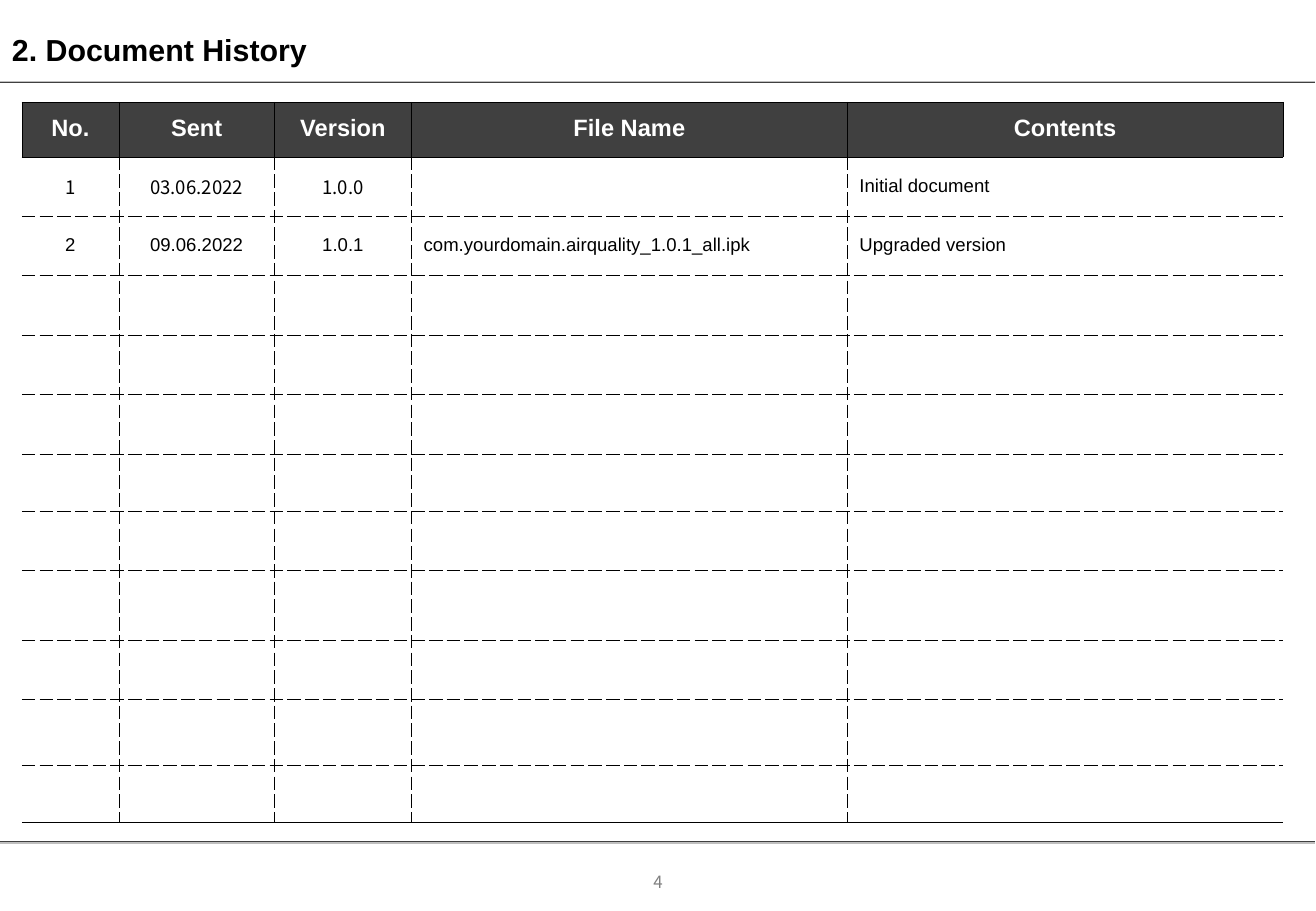
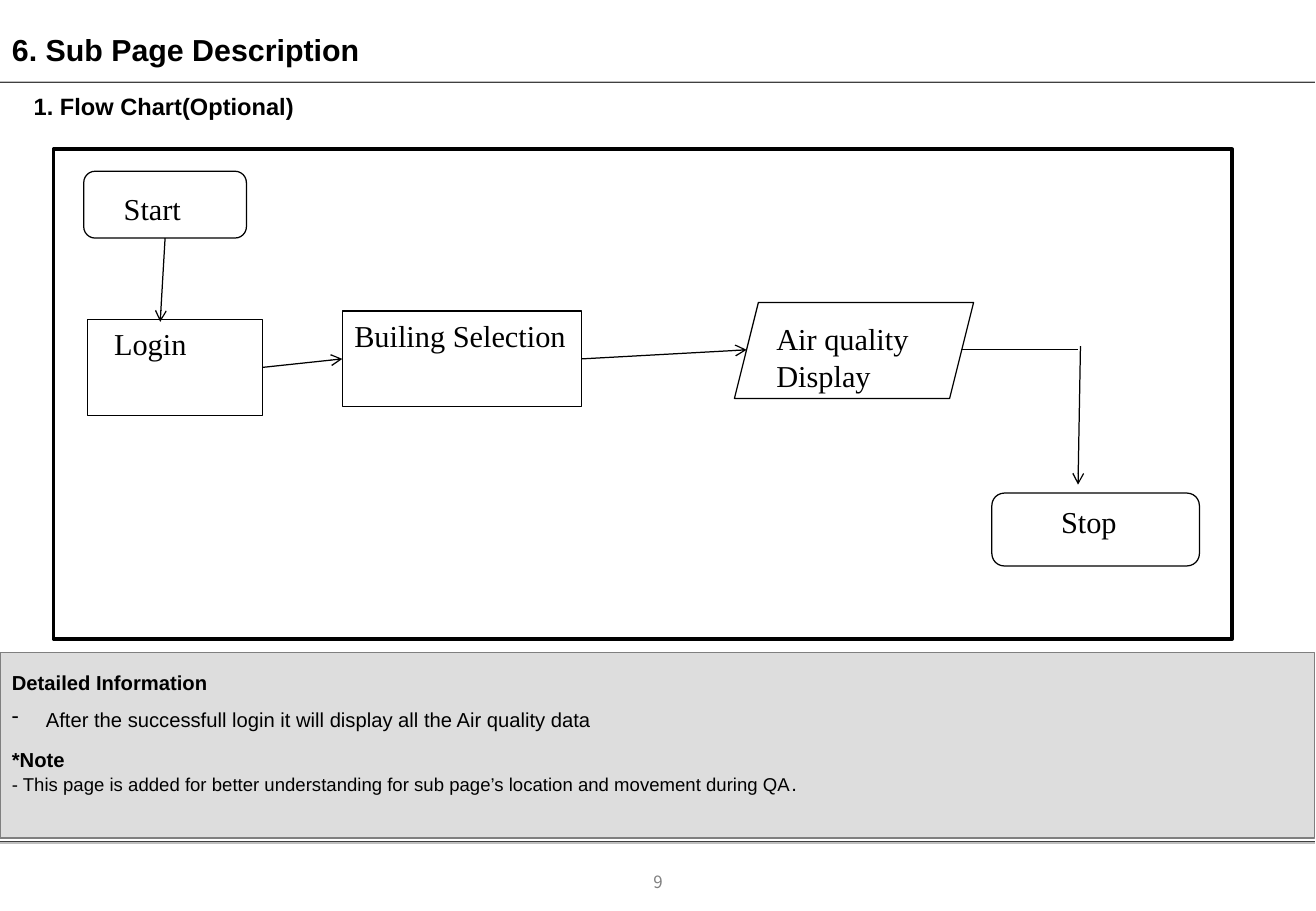
from lxml import etree
from pptx import Presentation
from pptx import util as u
from pptx.dml.color import RGBColor
from pptx.enum import shapes, text
from pptx.oxml import ns

PX = 9144
BLACK = RGBColor(0x00, 0x00, 0x00)
WHITE = RGBColor(0xFF, 0xFF, 0xFF)
DARK = RGBColor(0x40, 0x40, 0x40)
GREY = RGBColor(0x7F, 0x7F, 0x7F)
SILVER = RGBColor(0xBF, 0xBF, 0xBF)
PANEL = RGBColor(0xDD, 0xDD, 0xDD)
SANS, SERIF, CJK = "Arial", "Times New Roman", "Noto Sans CJK KR"
LEFT, CENTER = text.PP_ALIGN.LEFT, text.PP_ALIGN.CENTER
TOP, MIDDLE = text.MSO_ANCHOR.TOP, text.MSO_ANCHOR.MIDDLE
KIND = shapes.MSO_SHAPE
HAIR, DASHED, BASE = (0.06, "solid"), (0.45, "dash"), (0.23, "solid")


def px(n):
    return u.Emu(n * PX)


def child(parent, tag, **attrs):
    return etree.SubElement(parent, ns.qn(tag), **attrs)


def write(tf, words, size=12, font=SANS, color=BLACK, bold=False, align=LEFT,
          spacing=None, bullet=None, hang=28, join=False):
    p = tf.paragraphs[-1]
    if p.runs and not join:
        p = tf.add_paragraph()
    p.alignment = align
    if spacing:
        p.line_spacing = spacing
    if bullet:
        pPr = p._p.get_or_add_pPr()
        pPr.set("marL", str(px(hang)))
        pPr.set("indent", str(px(-hang)))
        child(pPr, "a:buChar", char=bullet)
    r = p.add_run()
    r.text = words
    r.font.size = u.Pt(size)
    r.font.name = font
    r.font.bold = bold
    r.font.color.rgb = color


def set_borders(cell, edges):
    tcPr = cell._tc.get_or_add_tcPr()
    for side, edge in zip("LRTB", edges):
        if edge is None:
            child(child(tcPr, f"a:ln{side}", w="0"), "a:noFill")
            continue
        width, dash = edge
        ln = child(tcPr, f"a:ln{side}", w=str(int(u.Pt(width))))
        child(child(ln, "a:solidFill"), "a:srgbClr", val=str(BLACK))
        child(ln, "a:prstDash", val=dash)


class Deck:
    def __init__(self, width, height):
        self.prs = Presentation()
        self.prs.slide_width, self.prs.slide_height = px(width), px(height)
        self.s = None

    def page(self, title, number):
        self.s = self.prs.slides.add_slide(self.prs.slide_layouts[6])
        for color, levels in ((DARK, (68, 693)), (SILVER, (67, 694))):
            for y in levels:
                self.line(0, y, 1083, y, color=color)
        write(self.box(487, 714, 110, 22, anchor=MIDDLE), number, size=10,
              font=CJK, color=GREY, align=CENTER, spacing=1.1)
        write(self.box(0, 21, 849, 40), title, size=18, bold=True)

    def box(self, x, y, w, h, anchor=TOP):
        tf = self.s.shapes.add_textbox(px(x), px(y), px(w), px(h)).text_frame
        tf.word_wrap = True
        tf.vertical_anchor = anchor
        return tf

    def shape(self, kind, x, y, w, h, fill=None, line=BLACK, weight=0.75,
              adj=None, inset=10):
        sp = self.s.shapes.add_shape(kind, px(x), px(y), px(w), px(h))
        sp.shadow.inherit = False
        if fill is None:
            sp.fill.background()
        else:
            sp.fill.solid()
            sp.fill.fore_color.rgb = fill
        sp.line.color.rgb = line
        sp.line.width = u.Pt(weight)
        if adj is not None:
            sp.adjustments[0] = adj
        sp.text_frame.vertical_anchor = TOP
        sp.text_frame.margin_left = px(inset)
        return sp

    def node(self, kind, x, y, w, h, *lines, **look):
        sp = self.shape(kind, x, y, w, h, **look)
        for words in lines:
            write(sp.text_frame, words, size=18, font=SERIF)
        return sp

    def line(self, x1, y1, x2, y2, color=BLACK, arrow=False, begin=None, end=None):
        c = self.s.shapes.add_connector(
            shapes.MSO_CONNECTOR.STRAIGHT, px(x1), px(y1), px(x2), px(y2))
        c.line.color.rgb = color
        c.line.width = u.Pt(0.75)
        if arrow:
            child(c.line._get_or_add_ln(), "a:tailEnd", type="arrow")
        child(c._element.spPr, "a:effectLst")
        if begin:
            c.begin_connect(*begin)
        if end:
            c.end_connect(*end)

    def table(self, x, y, widths, heights, head, rows):
        last_row, last_col = len(heights) - 1, len(widths) - 1
        table = self.s.shapes.add_table(
            len(heights), len(widths), px(x), px(y),
            px(sum(widths)), px(sum(heights))).table
        table.horz_banding = False
        for col, w in zip(table.columns, widths):
            col.width = px(w)
        for row, h in zip(table.rows, heights):
            row.height = px(h)
        for i in range(len(heights)):
            for j in range(len(widths)):
                cell = table.cell(i, j)
                cell.vertical_anchor = MIDDLE
                edges = [HAIR] * 4 if i == 0 else [
                    DASHED if j > 0 else None,
                    DASHED if j < last_col else None,
                    HAIR if i == 1 else DASHED,
                    BASE if i == last_row else DASHED]
                set_borders(cell, edges)
                cell.fill.solid()
                cell.fill.fore_color.rgb = WHITE if i else DARK
                if i == 0:
                    write(cell.text_frame, head[j], size=14, color=WHITE,
                          bold=True, align=CENTER, spacing=0.94)
                elif i <= len(rows) and rows[i - 1][j]:
                    noto = i == 1 and j < 3
                    write(cell.text_frame, rows[i - 1][j], size=11,
                          font=CJK if noto else SANS,
                          align=CENTER if j < 3 else LEFT,
                          spacing=0.98 if noto else 0.94)


def history(deck):
    deck.page("2. Document History", "4")
    deck.table(
        18, 84, [80, 128, 113, 359, 359],
        [45, 49, 49, 49, 49, 49, 47, 49, 57, 49, 54, 47],
        ["No.", "Sent", "Version", "File Name", "Contents"],
        [["1", "03.06.2022", "1.0.0", "", "Initial document"],
         ["2", "09.06.2022", "1.0.1",
          "com.yourdomain.airquality_1.0.1_all.ipk", "Upgraded version"]])


def flow_chart(deck):
    deck.page("6. Sub Page Description", "9")
    deck.shape(KIND.RECTANGLE, 44, 123, 971, 403, weight=2.25)
    panel = deck.shape(KIND.RECTANGLE, 0, 537, 1083, 153, fill=PANEL, line=GREY)
    write(panel.text_frame, "Detailed Information", bold=True, spacing=1.5)
    write(panel.text_frame,
          "After the successfull login it will display all the Air quality data",
          spacing=1.5, bullet="-")
    note = deck.box(0, 600, 977, 60)
    write(note, "*Note", bold=True, spacing=1.5)
    write(note, "- This page is added for better understanding for sub page’s "
          "location and movement during QA", size=11)
    write(note, ".", join=True)
    write(deck.box(18, 70, 293, 34, anchor=MIDDLE), "1. Flow Chart(Optional)",
          size=14, bold=True)

    start = deck.node(KIND.ROUNDED_RECTANGLE, 69, 141, 134, 55, adj=0.17)
    write(deck.box(92, 152, 71, 40), "Start", size=18, font=SERIF)
    login = deck.node(KIND.RECTANGLE, 72, 263, 144, 79, "Login", inset=22)
    building = deck.node(KIND.RECTANGLE, 282, 256, 197, 79, "Builing Selection")
    deck.node(KIND.PARALLELOGRAM, 605, 249, 197, 79, "Air quality", "Display",
              adj=0.25)
    deck.node(KIND.ROUNDED_RECTANGLE, 817, 406, 171, 60, "Stop", adj=0.17, inset=54)

    deck.line(136, 196, 132, 265, arrow=True, begin=(start, 2))
    deck.line(216, 303, 282, 295, arrow=True, begin=(login, 3), end=(building, 1))
    deck.line(479, 295, 615, 288, arrow=True, begin=(building, 3))
    deck.line(792, 288, 888, 288)
    deck.line(890, 285, 888, 399, arrow=True)


def main():
    deck = Deck(1084, 750)
    history(deck)
    flow_chart(deck)
    deck.prs.save("out.pptx")


if __name__ == "__main__":
    main()
